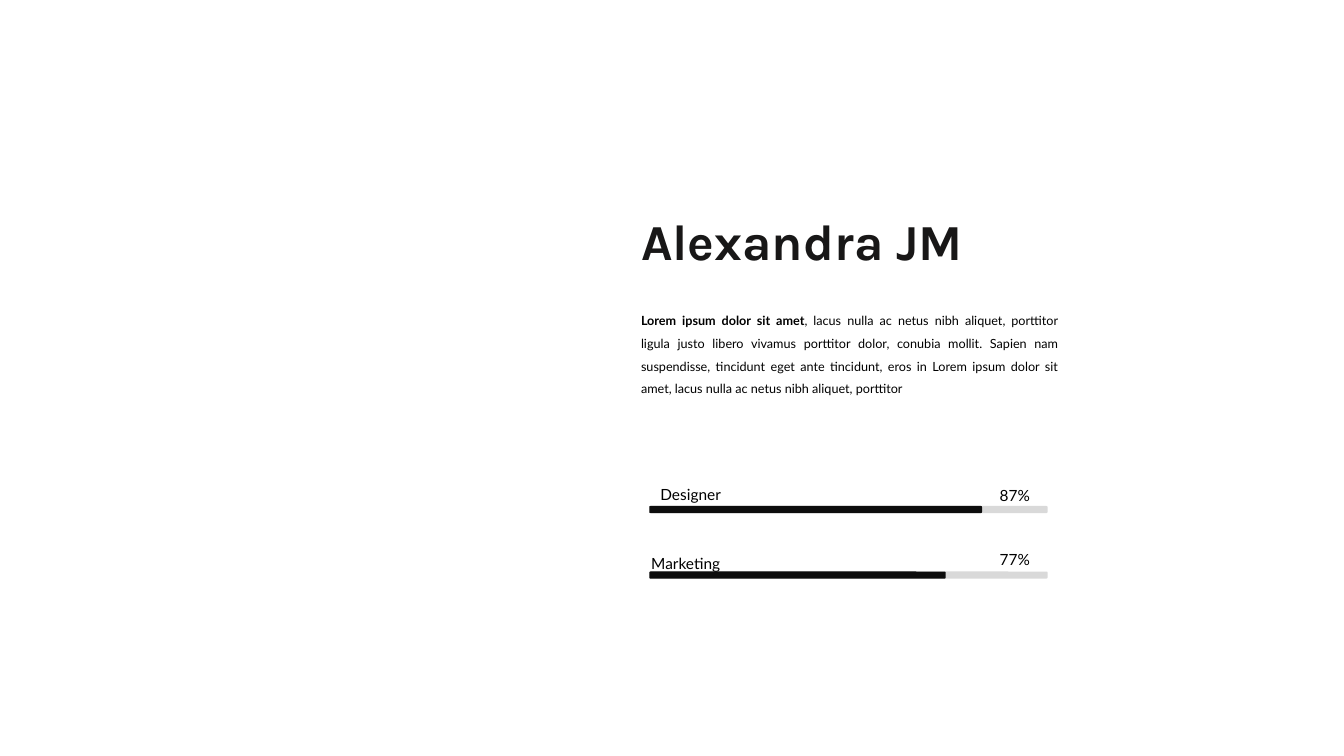
from pptx import Presentation
from pptx.dml.color import RGBColor
from pptx.enum.shapes import MSO_SHAPE
from pptx.enum.text import MSO_ANCHOR, PP_ALIGN
from pptx.util import Inches, Pt

ROUNDED = MSO_SHAPE.ROUNDED_RECTANGLE
TOP, MIDDLE = MSO_ANCHOR.TOP, MSO_ANCHOR.MIDDLE
LEFT, CENTER, JUSTIFY = PP_ALIGN.LEFT, PP_ALIGN.CENTER, PP_ALIGN.JUSTIFY

BIO_LEAD = "Lorem ipsum dolor sit amet"
BIO_REST = (
    ", lacus nulla ac netus nibh aliquet, porttitor ligula justo libero "
    "vivamus porttitor dolor, conubia mollit. Sapien nam suspendisse, "
    "tincidunt eget ante tincidunt, eros in Lorem ipsum dolor sit amet, "
    "lacus nulla ac netus nibh aliquet, porttitor "
)


def color(value):
    return RGBColor.from_string(value)


def add_text(page, box, text, size, font="Lato", ink="000000",
             align=LEFT, spacing=1.5, anchor=TOP):
    frame = page.shapes.add_textbox(*map(Inches, box)).text_frame
    frame.word_wrap = True
    frame.vertical_anchor = anchor
    para = frame.paragraphs[0]
    para.alignment = align
    para.line_spacing = spacing
    para.font.name = font
    para.font.size = Pt(size)
    para.font.color.rgb = color(ink)
    para.add_run().text = text
    return para


def add_bar(page, left, top, width, fill):
    bar = page.shapes.add_shape(
        ROUNDED, *map(Inches, (left, top, width, 0.07)))
    bar.shadow.inherit = False
    bar.fill.solid()
    bar.fill.fore_color.rgb = color(fill)
    bar.line.fill.background()


def add_profile(page, left, top):
    name = add_text(page, (left, top, 4.13, 0.68), "Alexandra JM", 36,
                    "Karla", "181717", spacing=0.9, anchor=MIDDLE)
    name.space_before = Pt(10)
    name.font.bold = True

    bio = add_text(page, (left, top + 0.9, 4.33, 1.01), BIO_LEAD, 9,
                   align=JUSTIFY)
    bio.runs[0].font.bold = True
    bio.add_run().text = BIO_REST


def add_skill(page, left, top, label, align, label_rise, percent,
              percent_rise, filled):
    full = 3.95
    add_bar(page, left, top, full, "D9D9D9")
    add_bar(page, left, top, filled, "0D0D0D")
    add_text(page, (left - 0.08, top - label_rise, 0.98, 0.38), label, 11,
             align=align)
    add_text(page, (left + full - 0.65, top - percent_rise, 0.65, 0.38),
             percent, 11, align=CENTER)


def main():
    deck = Presentation()
    deck.slide_width, deck.slide_height = Inches(13.33), Inches(7.5)
    page = deck.slides.add_slide(deck.slide_layouts[6])
    add_profile(page, 6.26, 2.08)
    skills = [
        ("Designer", CENTER, 0.35, "87%", 0.34, 3.3),
        ("Marketing", LEFT, 0.31, "77%", 0.35, 2.94),
    ]
    for row, skill in enumerate(skills):
        add_skill(page, 6.44, 5.02 + row * 0.65, *skill)
    deck.save("out.pptx")


if __name__ == "__main__":
    main()
